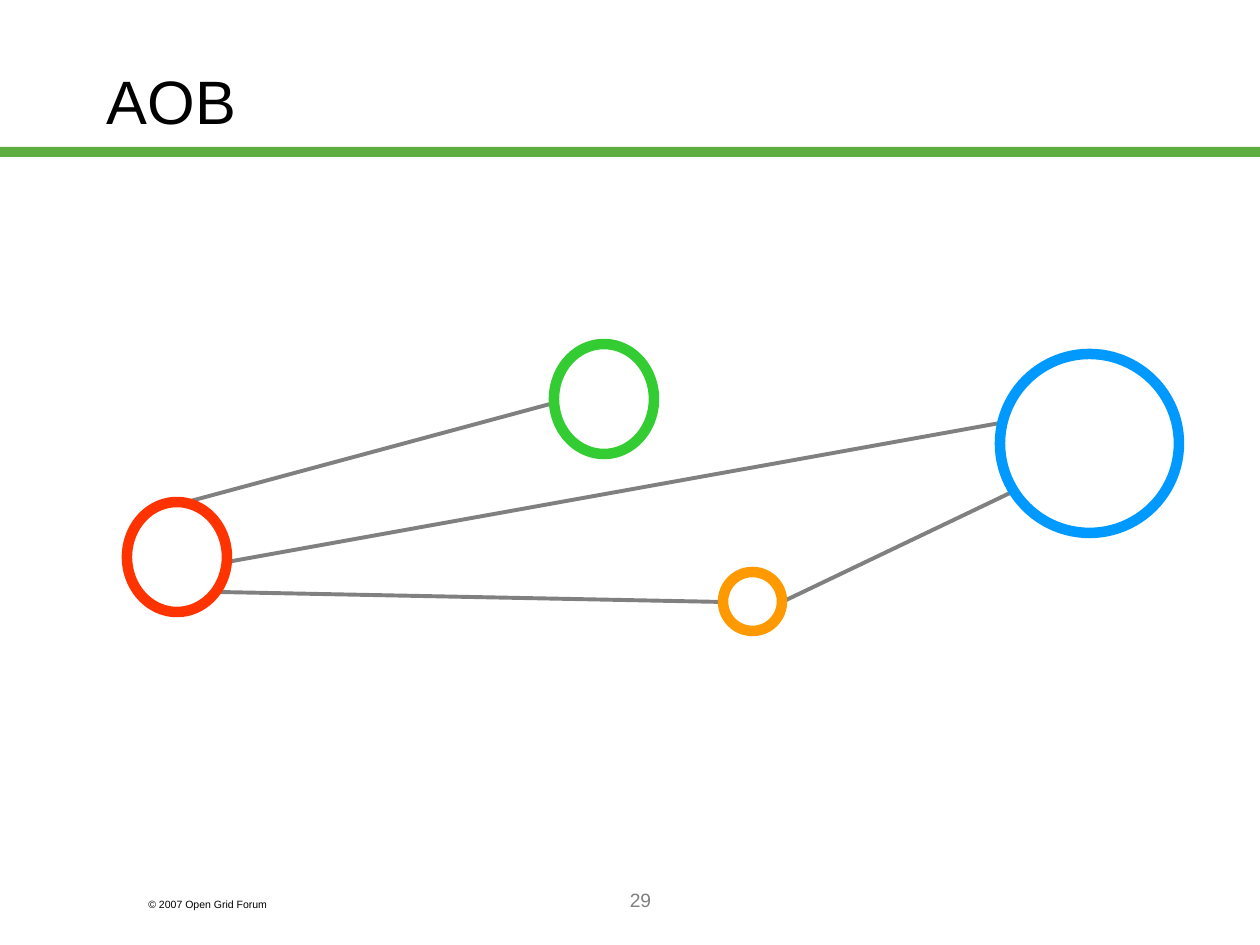
from dataclasses import dataclass

from lxml.etree import SubElement
from pptx import Presentation
from pptx.dml.color import RGBColor
from pptx.enum.shapes import MSO_CONNECTOR, MSO_SHAPE
from pptx.enum.text import MSO_ANCHOR, PP_ALIGN
from pptx.oxml.ns import qn
from pptx.util import Emu, Pt

PX_PER_INCH = 126
TITLE_ONLY = 5


@dataclass(frozen=True)
class Theme:
    font: str = "Arial"
    title_size: int = 35
    number_size: int = 11
    copyright_size: int = 6
    link_width: float = 2.25
    ring_width: int = 6
    black: str = "000000"
    white: str = "FFFFFF"
    gray: str = "808080"
    rule: str = "5DAD41"
    red: str = "FF3300"
    blue: str = "0099FF"
    green: str = "33CC33"
    orange: str = "FF9900"


THEME = Theme()

# left, top, width, height, colour
RINGS = [
    (127, 502, 100, 110, THEME.red),
    (1000, 354, 179, 179, THEME.blue),
    (554, 344, 100, 110, THEME.green),
    (723, 572, 59, 59, THEME.orange),
]

# start x, start y, end x, end y
LINKS = [
    (782, 602, 1010, 493),
    (217, 592, 723, 602),
    (227, 562, 1000, 423),
    (187, 502, 554, 403),
]


def px(*lengths):
    """Turn pixel lengths into a list of EMU."""
    return [Emu(round(length * 914400 / PX_PER_INCH)) for length in lengths]


def color(value):
    return RGBColor.from_string(value)


def write(frame, text, size, text_color, align=PP_ALIGN.LEFT):
    frame.word_wrap = True
    para = frame.paragraphs[0]
    para.text = text
    para.alignment = align
    para.font.name = THEME.font
    para.font.size = Pt(size)
    para.font.color.rgb = color(text_color)


def set_title(page, text):
    title = page.shapes.title
    title.left, title.top, title.width, title.height = px(94, 21, 1071, 158)
    write(title.text_frame, text, THEME.title_size, THEME.black)
    title.text_frame.vertical_anchor = MSO_ANCHOR.MIDDLE


def add_label(page, bounds, *text_style):
    box = page.shapes.add_textbox(*px(*bounds))
    write(box.text_frame, *text_style)


def add_filled(page, preset, bounds, fill):
    shape = page.shapes.add_shape(preset, *px(*bounds))
    shape.shadow.inherit = False
    shape.fill.solid()
    shape.fill.fore_color.rgb = color(fill)
    shape.line.fill.background()
    return shape


def add_ring(page, bounds, ring_color):
    ring = add_filled(page, MSO_SHAPE.OVAL, bounds, THEME.white)
    ring.line.color.rgb = color(ring_color)
    ring.line.width = Pt(THEME.ring_width)


def add_link(page, ends):
    link = page.shapes.add_connector(MSO_CONNECTOR.STRAIGHT, *px(*ends))
    link.line.color.rgb = color(THEME.gray)
    link.line.width = Pt(THEME.link_width)
    SubElement(link.element.spPr, qn("a:effectLst"))


def main():
    deck = Presentation()
    deck.slide_width, deck.slide_height = px(1260, 945)
    page = deck.slides.add_slide(deck.slide_layouts[TITLE_ONLY])

    set_title(page, "AOB")
    add_filled(page, MSO_SHAPE.RECTANGLE, (0, 147, 1260, 10), THEME.rule)
    add_label(page, (136, 892, 189, 25), "© 2007 Open Grid Forum",
              THEME.copyright_size, THEME.black)
    add_label(page, (273, 882, 735, 63), "29",
              THEME.number_size, THEME.gray, PP_ALIGN.CENTER)

    for ends in LINKS:
        add_link(page, ends)
    for *bounds, ring_color in RINGS:
        add_ring(page, bounds, ring_color)

    deck.save("out.pptx")


if __name__ == "__main__":
    main()
